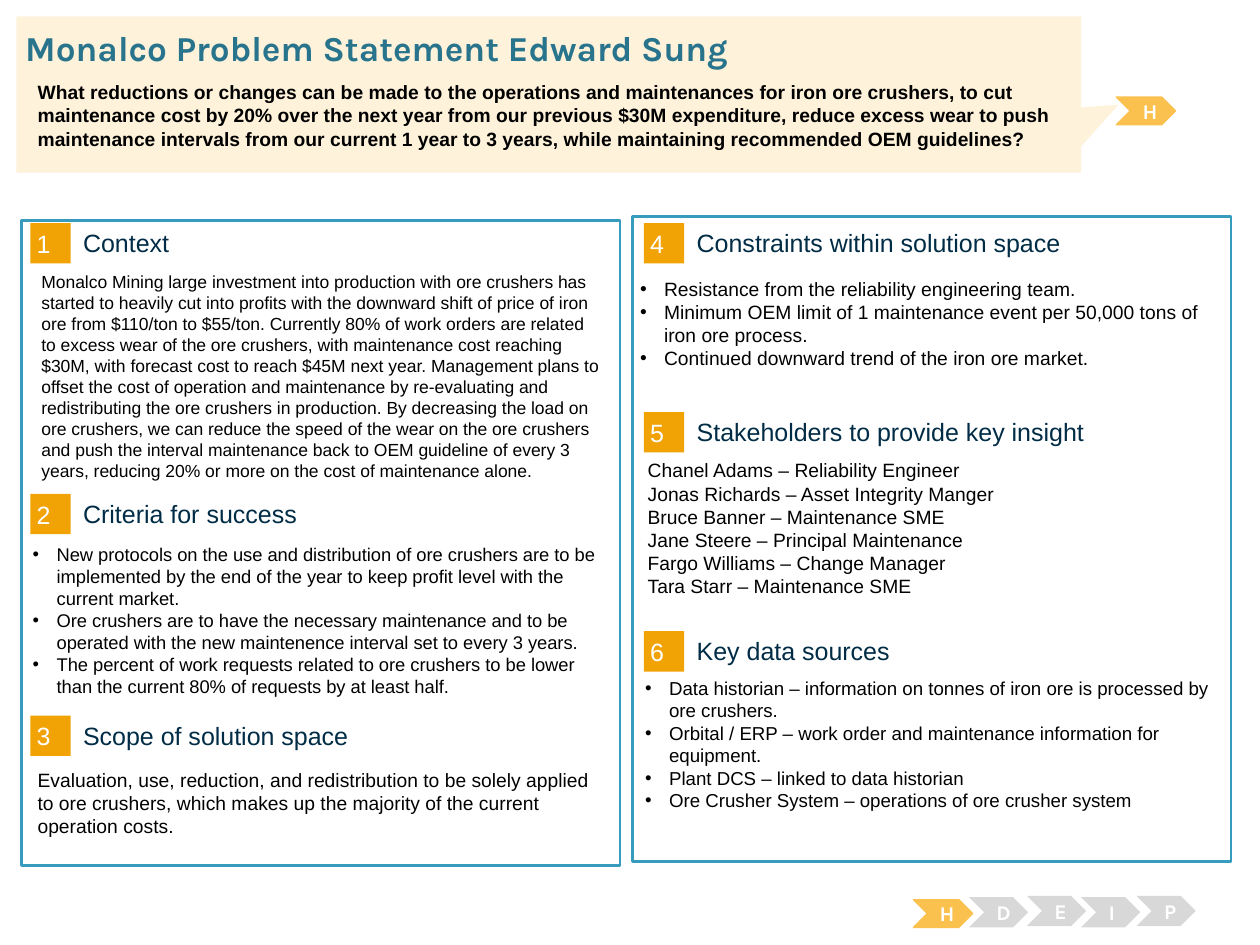
from dataclasses import dataclass

from lxml import etree
from pptx import Presentation, util as u
from pptx.dml.color import RGBColor
from pptx.enum import shapes, text
from pptx.oxml.ns import qn


@dataclass(frozen=True)
class Theme:
    """Colours, fonts and type sizes of the slide."""
    body_font: str = "Arial"
    brand_font: str = "Karla"
    ink: str = "000000"
    white: str = "FFFFFF"
    navy: str = "002C46"
    title: str = "29748D"
    frame: str = "379BBD"
    badge: str = "F1A205"
    active: str = "FBC14E"
    idle: str = "D8D8D8"
    callout: str = "FEF2DA"
    title_size: float = 20
    heading_size: float = 14.3
    step_size: float = 12
    body_size: float = 11
    sources_size: float = 10.7
    criteria_size: float = 10.5
    context_size: float = 10


class Board:
    """Draws the elements of a problem statement on one slide."""

    def __init__(self, slide, theme):
        self.slide, self.theme = slide, theme

    def shape(self, kind, box, fill, line=None, weight=1.5, adj=()):
        """Add a flat preset shape."""
        sp = self.slide.shapes.add_shape(kind, *map(u.Inches, box))
        sp.shadow.inherit = False
        sp.fill.solid()
        sp.fill.fore_color.rgb = RGBColor.from_string(fill)
        if line:
            sp.line.color.rgb = RGBColor.from_string(line)
            sp.line.width = u.Pt(weight)
        else:
            sp.line.fill.background()
        for i, value in enumerate(adj):
            sp.adjustments[i] = value
        return sp

    def set_text(self, sp, lines, size, color=None, font=None, bold=False, bullet=False,
                 align=text.PP_ALIGN.LEFT, anchor=text.MSO_ANCHOR.TOP, inset=(0.1, 0.05)):
        """Fill a shape with one paragraph per line."""
        tf = sp.text_frame
        tf.word_wrap = True
        tf.auto_size = text.MSO_AUTO_SIZE.NONE
        tf.vertical_anchor = anchor
        tf.margin_left = tf.margin_right = u.Inches(inset[0])
        tf.margin_top = tf.margin_bottom = u.Inches(inset[1])
        for i, line in enumerate(lines):
            p = tf.add_paragraph() if i else tf.paragraphs[0]
            p.alignment = align
            p.space_before = p.space_after = u.Pt(0)
            self.mark(p, bullet)
            r = p.add_run()
            r.text = line
            r.font.size = u.Pt(size)
            r.font.name = font or self.theme.body_font
            r.font.bold = bold
            r.font.color.rgb = RGBColor.from_string(color or self.theme.ink)

    def mark(self, p, bullet):
        """Set the indent and bullet of a paragraph."""
        pPr = p._p.get_or_add_pPr()
        indent = u.Inches(0.19) if bullet else 0
        pPr.set("marL", str(indent))
        pPr.set("indent", str(-indent))
        if bullet:
            color = etree.SubElement(pPr, qn("a:buClr"))
            etree.SubElement(color, qn("a:srgbClr")).set("val", self.theme.ink)
            etree.SubElement(pPr, qn("a:buFont")).set("typeface", self.theme.body_font)
            etree.SubElement(pPr, qn("a:buChar")).set("char", "•")
        else:
            etree.SubElement(pPr, qn("a:buNone"))

    def text_box(self, box, lines, size, **style):
        """Add a text box."""
        sp = self.slide.shapes.add_textbox(*map(u.Inches, box))
        self.set_text(sp, lines, size, **style)

    def placeholder(self, idx, box, lines, size, **style):
        """Move a template placeholder to the front and fill it."""
        sp = next(s for s in self.slide.placeholders if s.placeholder_format.idx == idx)
        sp.left, sp.top, sp.width, sp.height = map(u.Inches, box)
        self.slide.shapes._spTree.append(sp._element)
        self.set_text(sp, lines, size, **style)

    def panel(self, left, top):
        """Add a framed column."""
        self.shape(shapes.MSO_SHAPE.RECTANGLE, (left, top, 4.75, 5.12),
                   self.theme.white, self.theme.frame)

    def section(self, number, heading, left, top):
        """Add a numbered badge with its heading."""
        t = self.theme
        sp = self.shape(shapes.MSO_SHAPE.RECTANGLE, (left, top, 0.32, 0.32), t.badge)
        self.set_text(sp, [str(number)], t.heading_size, color=t.white,
                      anchor=text.MSO_ANCHOR.MIDDLE, inset=(0.05, 0.05))
        self.text_box((left + 0.42, top + 0.03, 3.93, 0.25), [heading], t.heading_size,
                      color=t.navy, anchor=text.MSO_ANCHOR.MIDDLE, inset=(0, 0))

    def step(self, letter, left, top, active=False):
        """Add a chevron of the process tracker."""
        t = self.theme
        sp = self.shape(shapes.MSO_SHAPE.CHEVRON, (left, top, 0.47, 0.22 if active else 0.24),
                        t.active if active else t.idle, t.active if active else None,
                        0.75, (0.5,))
        self.set_text(sp, [letter], t.step_size, color=t.white, font=t.brand_font, bold=True,
                      align=text.PP_ALIGN.CENTER, anchor=text.MSO_ANCHOR.MIDDLE)


prs = Presentation()
prs.slide_width, prs.slide_height = u.Inches(10), u.Inches(7.5)
theme = Theme()
board = Board(prs.slides.add_slide(prs.slide_layouts.get_by_name("Comparison")), theme)

for left, top in ((0.17, 1.75), (5.02, 1.72)):
    board.panel(left, top)

columns = (
    (0.24, (("Context", 1.77), ("Criteria for success", 3.92),
            ("Scope of solution space", 5.68))),
    (5.11, (("Constraints within solution space", 1.77),
            ("Stakeholders to provide key insight", 3.27), ("Key data sources", 5.01))),
)
for col, (left, sections) in enumerate(columns):
    for row, (heading, top) in enumerate(sections):
        board.section(3 * col + row + 1, heading, left, top)

board.text_box((0.23, 2.1, 4.65, 1.81), [
    "Monalco Mining large investment into production with ore crushers has started to heavily "
    "cut into profits with the downward shift of price of iron ore from $110/ton to $55/ton. "
    "Currently 80% of work orders are related to excess wear of the ore crushers, with "
    "maintenance cost reaching $30M, with forecast cost to reach $45M next year. Management "
    "plans to offset the cost of operation and maintenance by re-evaluating and redistributing "
    "the ore crushers in production. By decreasing the load on ore crushers, we can reduce the "
    "speed of the wear on the ore crushers and push the interval maintenance back to OEM "
    "guideline of every 3 years, reducing 20% or more on the cost of maintenance alone.",
], theme.context_size)
board.placeholder(1, (0.16, 4.26, 4.73, 1.37), [
    "New protocols on the use and distribution of ore crushers are to be implemented by the "
    "end of the year to keep profit level with the current market.",
    "Ore crushers are to have the necessary maintenance and to be operated with the new "
    "maintenence interval set to every 3 years.",
    "The percent of work requests related to ore crushers to be lower than the current 80% of "
    "requests by at least half.",
], theme.criteria_size, bullet=True)
board.text_box((0.2, 6.05, 4.73, 0.82), [
    "Evaluation, use, reduction, and redistribution to be solely applied to ore crushers, "
    "which makes up the majority of the current operation costs.",
], theme.body_size)
board.placeholder(2, (4.98, 2.15, 4.73, 0.83), [
    "Resistance from the reliability engineering team.",
    "Minimum OEM limit of 1 maintenance event per 50,000 tons of iron ore process.",
    "Continued downward trend of the iron ore market.",
], theme.body_size, bullet=True)
board.placeholder(3, (5.04, 3.59, 4.73, 1.53), [
    "Chanel Adams – Reliability Engineer",
    "Jonas Richards – Asset Integrity Manger",
    "Bruce Banner – Maintenance SME",
    "Jane Steere – Principal Maintenance",
    "Fargo Williams – Change Manager",
    "Tara Starr – Maintenance SME",
], theme.body_size)
board.placeholder(4, (5.02, 5.32, 4.73, 1.18), [
    "Data historian – information on tonnes of iron ore is processed by ore crushers.",
    "Orbital / ERP – work order and maintenance information for equipment.",
    "Plant DCS – linked to data historian",
    "Ore Crusher System – operations of ore crusher system",
], theme.sources_size, bullet=True)

steps = (("H", 7.25, 7.14), ("D", 7.69, 7.12), ("E", 8.15, 7.11), ("I", 8.58, 7.12),
         ("P", 9.02, 7.11), ("H", 8.86, 0.77))
for letter, left, top in steps:
    board.step(letter, left, top, active=letter == "H")

board.shape(shapes.MSO_SHAPE.RECTANGULAR_CALLOUT, (0.13, 0.13, 8.45, 1.24), theme.callout,
            adj=(0.535, 0.066))
board.placeholder(0, (0.2, 0.21, 9.62, 0.34), ["Monalco Problem Statement Edward Sung"],
                  theme.title_size, color=theme.title, font=theme.brand_font, bold=True,
                  inset=(0, 0))
board.text_box((0.2, 0.59, 8.45, 1.02), [
    "What reductions or changes can be made to the operations and maintenances for iron ore "
    "crushers, to cut maintenance cost by 20% over the next year from our previous $30M "
    "expenditure, reduce excess wear to push maintenance intervals from our current 1 year to "
    "3 years, while maintaining recommended OEM guidelines?",
], theme.body_size, bold=True)

prs.save("out.pptx")
